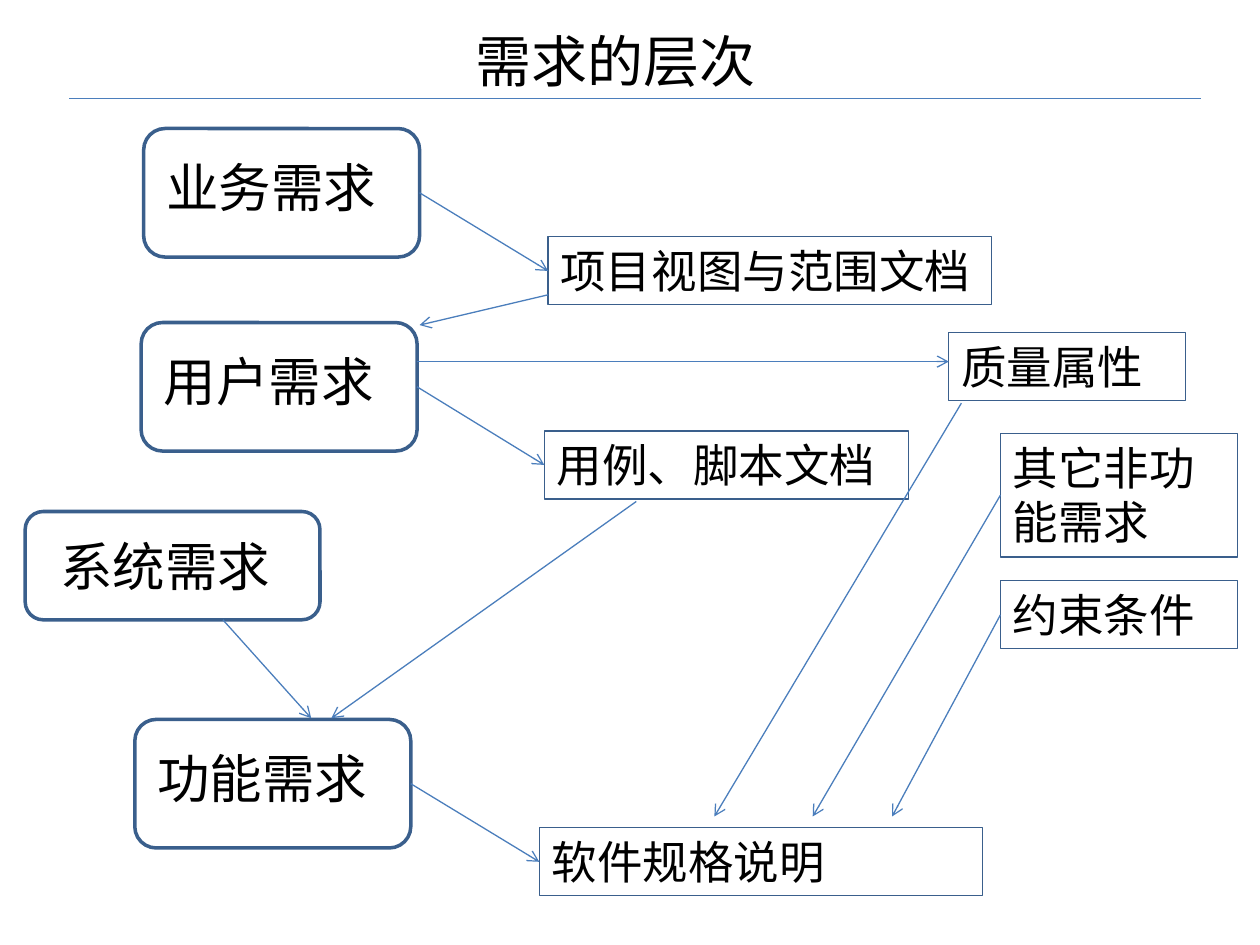
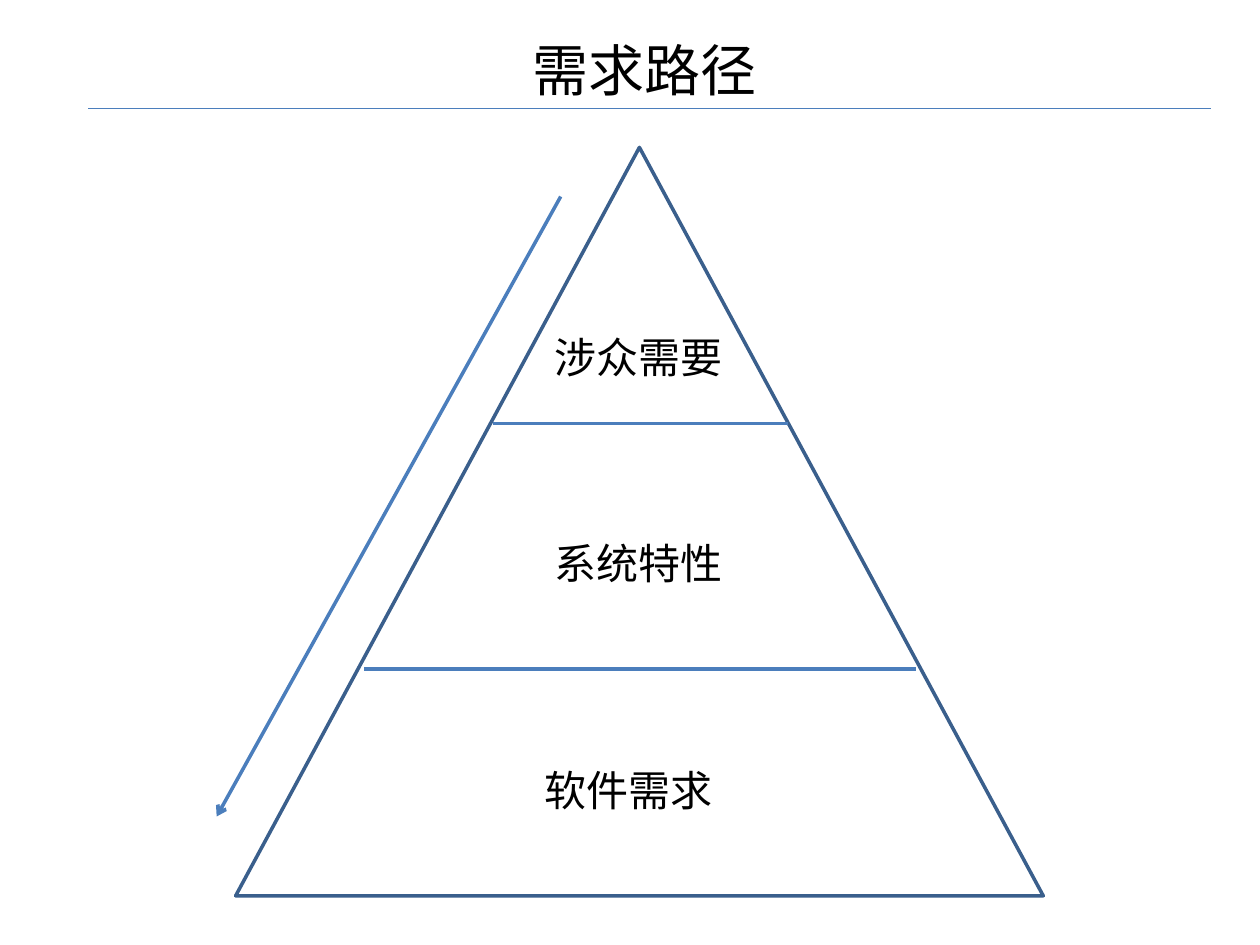
from dataclasses import dataclass

from lxml.etree import SubElement
from pptx import Presentation
from pptx.dml.color import RGBColor
from pptx.enum.shapes import MSO_CONNECTOR, MSO_SHAPE as Preset
from pptx.enum.text import MSO_ANCHOR, MSO_AUTO_SIZE, PP_ALIGN as Align
from pptx.oxml.ns import qn
from pptx.util import Inches, Pt

FONT = "Calibri"
INK = "000000"
OUTLINE = "3A5F8C"
ARROW = "4B7EBC"
THIN, THICK = 0.75, 2

Point = tuple[float, float]


@dataclass(frozen=True)
class Stage:
    """A rounded box for one level of requirements, with its label inset."""
    label: str
    left: float
    top: float
    width: float = 2.19
    height: float = 1.02
    inset: Point = (0.08, 0.16)
    label_width: float = 1.88


@dataclass(frozen=True)
class Document:
    """A thin box for a document or a constraint."""
    label: str
    left: float
    top: float
    width: float
    height: float = 0.54


@dataclass(frozen=True)
class Line:
    """A straight line, with an arrowhead at its end if wanted."""
    start: Point
    end: Point
    weight: float = THIN
    arrow: bool = True


STAGES = [
    Stage("业务需求", 1.14, 1.02),
    Stage("用户需求", 1.12, 2.56),
    Stage("系统需求", 0.2, 4.06, 2.34, 0.86, (0.18, 0.13), 1.95),
    Stage("功能需求", 1.07, 5.71),
]

DOCUMENTS = [
    Document("项目视图与范围文档", 4.35, 1.88, 3.52),
    Document("用例、脚本文档", 4.32, 3.42, 2.89),
    Document("软件规格说明", 4.28, 6.57, 3.52),
    Document("质量属性", 7.53, 2.64, 1.88),
    Document("其它非功能需求", 7.94, 3.44, 1.88, 0.98),
    Document("约束条件", 7.94, 4.61, 1.88),
]

FLOWS = [
    Line((3.33, 1.53), (4.35, 2.15)),
    Line((4.35, 2.34), (3.33, 2.58)),
    Line((3.31, 2.87), (7.53, 2.87)),
    Line((3.31, 3.07), (4.32, 3.69)),
    Line((5.05, 3.98), (2.63, 5.7)),
    Line((1.77, 4.92), (2.47, 5.7)),
    Line((3.26, 6.22), (4.28, 6.84)),
    Line((7.63, 3.2), (5.67, 6.48)),
    Line((7.94, 3.93), (6.45, 6.48)),
    Line((7.94, 4.88), (7.08, 6.48)),
]

PYRAMID_LABELS = [
    ("涉众需要", 4.3, 2.58),
    ("系统特性", 4.3, 4.22),
    ("软件需求", 4.22, 6.02),
]

PYRAMID_LINES = [
    Line((3.91, 3.36), (6.25, 3.36), THICK, arrow=False),
    Line((2.89, 5.31), (7.27, 5.31), THICK, arrow=False),
    Line((4.45, 1.56), (1.72, 6.48), THICK),
]


def color(code: str) -> RGBColor:
    """Turn a hex string into a colour."""
    return RGBColor.from_string(code)


def write(shape, text: str, *, size: float, align=Align.LEFT) -> None:
    """Put formatted text at the top of a shape."""
    frame = shape.text_frame
    frame.word_wrap = True
    frame.auto_size = MSO_AUTO_SIZE.NONE
    frame.vertical_anchor = MSO_ANCHOR.TOP
    paragraph = frame.paragraphs[0]
    paragraph.alignment = align
    run = paragraph.add_run()
    run.text = text
    run.font.name = FONT
    run.font.size = Pt(size)
    run.font.color.rgb = color(INK)


def add_label(slide, text: str, left: float, top: float, width: float,
              height: float, size: float) -> None:
    """Add free-standing text."""
    box = slide.shapes.add_textbox(*map(Inches, (left, top, width, height)))
    write(box, text, size=size)


def add_outline(slide, preset, left: float, top: float, width: float,
                height: float, weight: float):
    """Add an unfilled preset shape and return it."""
    shape = slide.shapes.add_shape(
        preset, *map(Inches, (left, top, width, height)))
    shape.shadow.inherit = False
    shape.fill.background()
    shape.line.color.rgb = color(OUTLINE)
    shape.line.width = Pt(weight)
    return shape


def add_line(slide, line: Line) -> None:
    """Draw a line without a shadow."""
    connector = slide.shapes.add_connector(
        MSO_CONNECTOR.STRAIGHT, *map(Inches, line.start + line.end))
    connector.line.color.rgb = color(ARROW)
    connector.line.width = Pt(line.weight)
    properties = connector._element.spPr
    if line.arrow:
        SubElement(properties.find(qn("a:ln")), qn("a:tailEnd"), type="arrow")
    SubElement(properties, qn("a:effectLst"))


def add_titled_slide(deck, title: str, left: float, top: float, width: float,
                     rule: Line):
    """Add a slide with a centred title above a thin rule."""
    slide = deck.slides.add_slide(deck.slide_layouts[5])
    heading = slide.shapes.title
    heading.left, heading.top = Inches(left), Inches(top)
    heading.width, heading.height = Inches(width), Inches(0.64)
    write(heading, title, size=32, align=Align.CENTER)
    add_line(slide, rule)
    return slide


def build_levels(deck) -> None:
    """Show the levels of requirements and the documents between them."""
    slide = add_titled_slide(deck, "需求的层次", 1.02, 0.16, 7.73,
                             Line((0.55, 0.78), (9.53, 0.78), arrow=False))
    for stage in STAGES:
        add_outline(slide, Preset.ROUNDED_RECTANGLE, stage.left, stage.top,
                    stage.width, stage.height, THICK)
        across, down = stage.inset
        add_label(slide, stage.label, stage.left + across, stage.top + down,
                  stage.label_width, 0.61, 30)
    for document in DOCUMENTS:
        box = add_outline(slide, Preset.RECTANGLE, document.left, document.top,
                          document.width, document.height, THIN)
        write(box, document.label, size=26)
    for flow in FLOWS:
        add_line(slide, flow)


def build_pyramid(deck) -> None:
    """Show the path from needs down to software requirements."""
    slide = add_titled_slide(deck, "需求路径", 1.72, 0.23, 6.8,
                             Line((0.7, 0.86), (9.61, 0.86), arrow=False))
    add_outline(slide, Preset.ISOSCELES_TRIANGLE, 1.87, 1.17, 6.41, 5.94, THICK)
    for line in PYRAMID_LINES:
        add_line(slide, line)
    for text, left, top in PYRAMID_LABELS:
        add_label(slide, text, left, top, 1.56, 0.5, 24)


def main() -> None:
    """Build and save the deck."""
    deck = Presentation()
    deck.slide_width, deck.slide_height = Inches(10), Inches(7.5)
    build_levels(deck)
    build_pyramid(deck)
    deck.save("out.pptx")


main()
